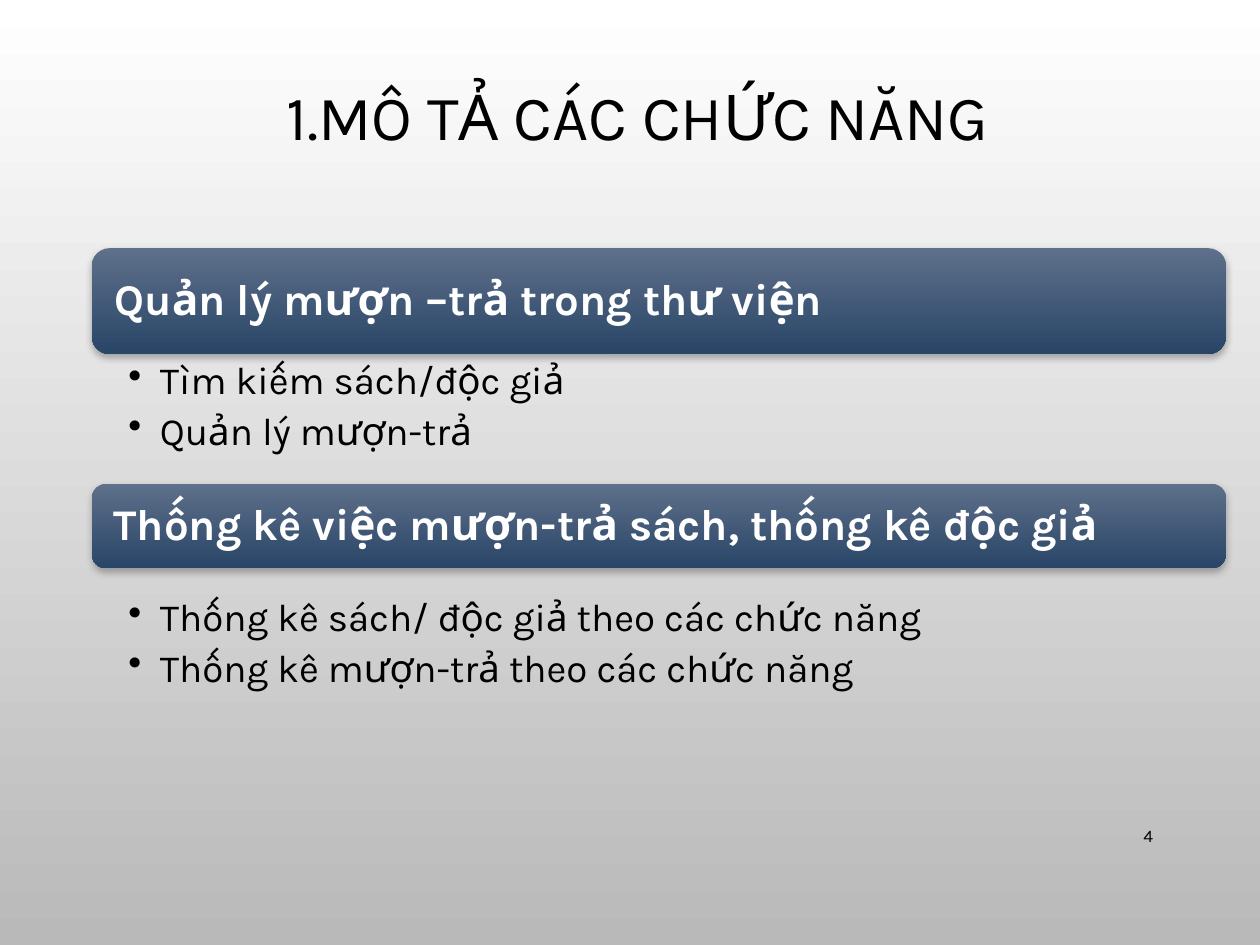
from pptx import Presentation
from pptx.dml.color import RGBColor
from pptx.enum.shapes import MSO_SHAPE
from pptx.enum.text import MSO_ANCHOR, PP_ALIGN
from pptx.oxml import parse_xml
from pptx.oxml.ns import nsdecls
from pptx.util import Inches, Pt

ROUND_RECT = MSO_SHAPE.ROUNDED_RECTANGLE
TOP, MIDDLE = MSO_ANCHOR.TOP, MSO_ANCHOR.MIDDLE
LEFT, CENTER, RIGHT = PP_ALIGN.LEFT, PP_ALIGN.CENTER, PP_ALIGN.RIGHT

BLACK = RGBColor(0x00, 0x00, 0x00)
WHITE = RGBColor(0xFF, 0xFF, 0xFF)
GREY = RGBColor(0xB9, 0xB9, 0xB9)
BLUE_LIGHT = RGBColor(0x5E, 0x70, 0x8A)
BLUE_DARK = RGBColor(0x29, 0x45, 0x67)

FONT = "Karla"
COLS, ROWS = 100, 75
BAR_X, BAR_W = 7.3, 90

SHADOW = (
    f'<a:effectLst {nsdecls("a")}>'
    '<a:outerShdw blurRad="50800" dist="25400" dir="5400000" rotWithShape="0">'
    '<a:srgbClr val="000000"><a:alpha val="28000"/></a:srgbClr>'
    '</a:outerShdw></a:effectLst>'
)

# Heading, bar top and height, list top and height, list items
SECTIONS = [
    ("Quản lý mượn –trả trong thư viện", 19.7, 8.4, 28.4, 12.1,
     ["Tìm kiếm sách/độc giả", "Quản lý mượn-trả"]),
    ("Thống kê việc mượn-trả sách, thống kê độc giả", 38.4, 6.7, 47.2, 20.2,
     ["Thống kê sách/ độc giả theo các chức năng",
      "Thống kê mượn-trả theo các chức năng"]),
]


class Deck:
    def __init__(self):
        self.prs = Presentation()
        self.prs.slide_width, self.prs.slide_height = Inches(10), Inches(7.5)
        self.s = self.prs.slides.add_slide(self.prs.slide_layouts[6])

    def box(self, x, y, w, h):
        """Turn grid columns and rows into slide lengths."""
        cw, rh = self.prs.slide_width / COLS, self.prs.slide_height / ROWS
        return int(x * cw), int(y * rh), int(w * cw), int(h * rh)

    def gradient(self, fill, top, bottom):
        fill.gradient()
        fill.gradient_angle = 270
        for stop, color in zip(fill.gradient_stops, (top, bottom)):
            stop.color.rgb = color

    def set_text(self, sp, lines, size, color=BLACK, bold=False, align=LEFT,
                 anchor=MIDDLE, insets=(0.1, 0.05, 0.1, 0.05), spacing=0.9):
        tf = sp.text_frame
        tf.word_wrap = True
        tf.vertical_anchor = anchor
        (tf.margin_left, tf.margin_top,
         tf.margin_right, tf.margin_bottom) = map(Inches, insets)
        tf.text = "\n".join(lines)
        for p in tf.paragraphs:
            p.alignment, p.line_spacing = align, spacing
            for r in p.runs:
                r.font.name, r.font.size = FONT, Pt(size)
                r.font.bold, r.font.color.rgb = bold, color
        return tf

    def text(self, grid, lines, size, **style):
        return self.set_text(self.s.shapes.add_textbox(*self.box(*grid)),
                             lines, size, **style)

    def bar(self, grid, heading):
        sp = self.s.shapes.add_shape(ROUND_RECT, *self.box(*grid))
        self.gradient(sp.fill, BLUE_LIGHT, BLUE_DARK)
        sp.line.fill.background()
        sp._element.spPr.append(parse_xml(SHADOW))
        self.set_text(sp, [heading], 25, color=WHITE, bold=True,
                      insets=(0.14, 0.1, 0.14, 0.1))

    def bullets(self, grid, items):
        tf = self.text(grid, items, 22, anchor=TOP,
                       insets=(0.29, 0.03, 0.17, 0.03))
        for p in tf.paragraphs:
            p.space_after = Pt(5)
            pPr = p._p.get_or_add_pPr()
            pPr.set("marL", str(Inches(0.25)))
            pPr.set("indent", str(-Inches(0.25)))
            pPr.append(parse_xml(f'<a:buChar {nsdecls("a")} char="•"/>'))


def main():
    deck = Deck()
    deck.gradient(deck.s.background.fill, WHITE, GREY)

    # Title
    deck.text((7.6, 5, 85, 9.1), ["1.MÔ TẢ CÁC CHỨC NĂNG"], 36,
              align=CENTER, insets=(0.2, 0.05, 0.1, 0.05))

    # Sections: a heading bar with its list
    for heading, bar_y, bar_h, list_y, list_h, items in SECTIONS:
        deck.bar((BAR_X, bar_y, BAR_W, bar_h), heading)
        deck.bullets((BAR_X, list_y, BAR_W, list_h), items)

    # Slide number
    deck.text((86.2, 64.3, 6.3, 4), ["4"], 10, align=RIGHT, spacing=1.0)

    deck.prs.save("out.pptx")


if __name__ == "__main__":
    main()
